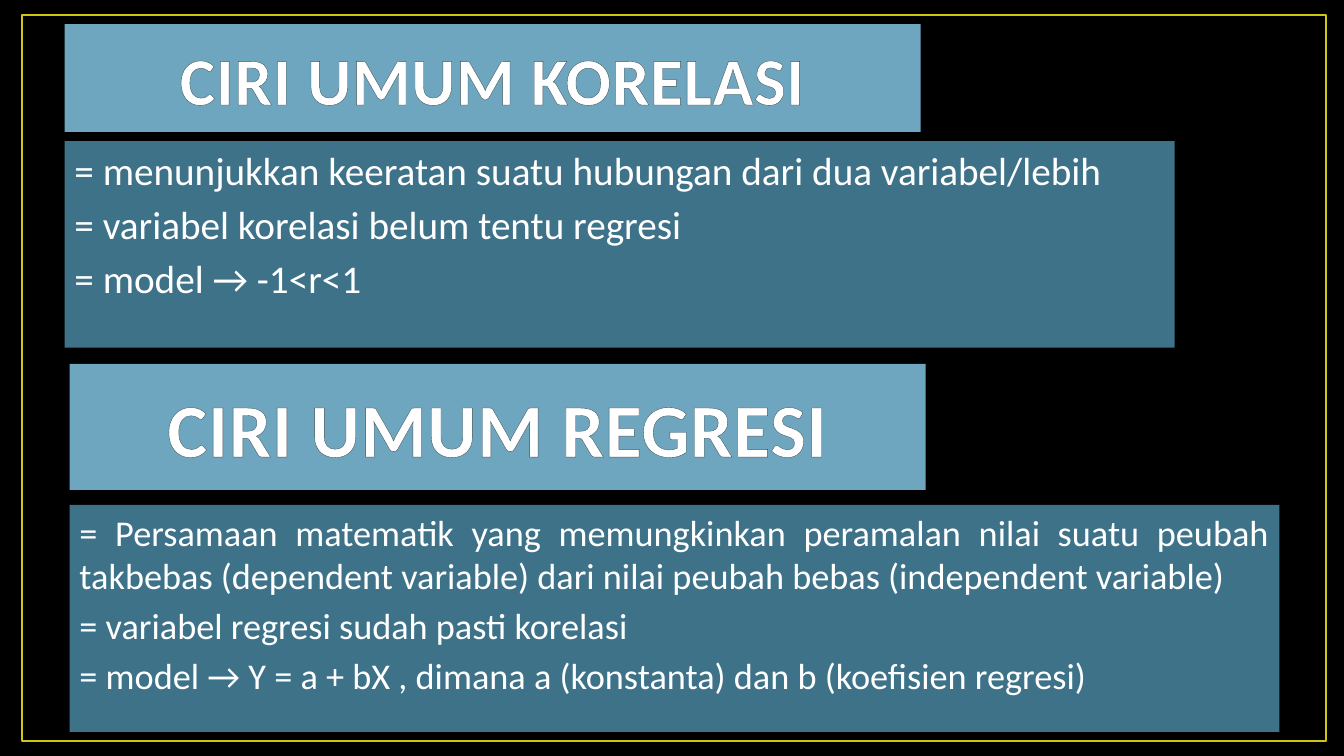
"""Build a slide on the general traits of correlation and regression."""
import dataclasses

import lxml.etree
import pptx
import pptx.dml.color
import pptx.enum.shapes
import pptx.enum.text
import pptx.oxml.ns
import pptx.util

Inches = pptx.util.Inches
Pt = pptx.util.Pt
Align = pptx.enum.text.PP_ALIGN
Anchor = pptx.enum.text.MSO_ANCHOR


@dataclasses.dataclass(frozen=True)
class Theme:
    """Colours, font and type sizes of the slide."""
    background: str = "000000"
    frame: str = "CFC60D"
    heading_fill: str = "6FA6BF"
    body_fill: str = "3D7289"
    text: str = "FFFFFF"
    outline: str = "384F55"
    font: str = "Calibri"
    correlation_heading: float = 48
    regression_heading: float = 54
    correlation_body: float = 28
    regression_body: float = 25.9
    paragraph_gap: float = 0.18


class SlideBuilder:
    """Draw styled elements on one slide."""

    def __init__(self, slide, theme):
        """Keep the slide and theme, and paint the background."""
        self.slide = slide
        self.theme = theme
        self.paint(slide.background.fill, theme.background)

    def paint(self, fill, colour):
        """Make a fill solid."""
        fill.solid()
        fill.fore_color.rgb = pptx.dml.color.RGBColor.from_string(colour)

    def rectangle(self, left, top, width, height):
        """Add a plain rectangle without shadow, fill or line."""
        shape = self.slide.shapes.add_shape(
            pptx.enum.shapes.MSO_SHAPE.RECTANGLE,
            Inches(left), Inches(top), Inches(width), Inches(height))
        shape.shadow.inherit = False
        shape.fill.background()
        shape.line.fill.background()
        return shape

    def frame(self, *box):
        """Add the thin border around the slide."""
        shape = self.rectangle(*box)
        self.paint(shape.line.fill, self.theme.frame)
        shape.line.width = Pt(1.5)

    def add_lines(self, shape, lines, size, alignment, anchor):
        """Fill a shape with paragraphs and return their runs."""
        text_frame = shape.text_frame
        text_frame.word_wrap = True
        text_frame.auto_size = pptx.enum.text.MSO_AUTO_SIZE.NONE
        text_frame.vertical_anchor = anchor
        runs = []
        for index, line in enumerate(lines):
            paragraph = text_frame.add_paragraph() if index else text_frame.paragraphs[0]
            paragraph.alignment = alignment
            paragraph.space_before = Pt(size * self.theme.paragraph_gap if index else 0)
            run = paragraph.add_run()
            run.text = line
            run.font.name = self.theme.font
            run.font.size = Pt(size)
            self.paint(run.font.fill, self.theme.text)
            runs.append(run)
        return runs

    def heading(self, shape, text, size):
        """Style a shape as a bold, outlined heading."""
        self.paint(shape.fill, self.theme.heading_fill)
        for run in self.add_lines(shape, [text], size, Align.CENTER, Anchor.MIDDLE):
            run.font.bold = True
            properties = run._r.get_or_add_rPr()
            properties.set("spc", "50")
            qn = pptx.oxml.ns.qn
            outline = lxml.etree.Element(qn("a:ln"), w=str(Pt(1.05)))
            fill = lxml.etree.SubElement(outline, qn("a:solidFill"))
            lxml.etree.SubElement(fill, qn("a:srgbClr"), val=self.theme.outline)
            properties.insert(0, outline)

    def title(self, text, size, left, top, width, height):
        """Move and format the title placeholder."""
        shape = self.slide.shapes.title
        shape.left, shape.top = Inches(left), Inches(top)
        shape.width, shape.height = Inches(width), Inches(height)
        self.heading(shape, text, size)

    def body(self, lines, size, *box):
        """Add a panel of justified statements."""
        shape = self.rectangle(*box)
        self.paint(shape.fill, self.theme.body_fill)
        self.add_lines(shape, lines, size, Align.JUSTIFY, Anchor.TOP)


def main():
    """Create and save the presentation."""
    presentation = pptx.Presentation()
    presentation.slide_width = Inches(13.33)
    presentation.slide_height = Inches(7.5)
    slide = presentation.slides.add_slide(presentation.slide_layouts[5])
    theme = Theme()
    builder = SlideBuilder(slide, theme)

    builder.frame(0.22, 0.15, 12.93, 7.2)
    builder.heading(builder.rectangle(0.64, 0.24, 8.49, 1.07),
                    "CIRI UMUM KORELASI", theme.correlation_heading)
    builder.body([
        "= menunjukkan keeratan suatu hubungan dari dua variabel/lebih",
        "= variabel korelasi belum tentu regresi",
        "= model → -1<r<1",
    ], theme.correlation_body, 0.64, 1.4, 11.01, 2.05)
    builder.title("CIRI UMUM REGRESI", theme.regression_heading,
                  0.69, 3.61, 8.49, 1.25)
    builder.body([
        "= Persamaan matematik yang memungkinkan peramalan nilai suatu peubah "
        "takbebas (dependent variable) dari nilai peubah bebas (independent variable)",
        "= variabel regresi sudah pasti korelasi",
        "= model → Y = a + bX , dimana a (konstanta) dan b (koefisien regresi)",
    ], theme.regression_body, 0.69, 5.01, 12, 2.25)

    presentation.save("out.pptx")


if __name__ == "__main__":
    main()
